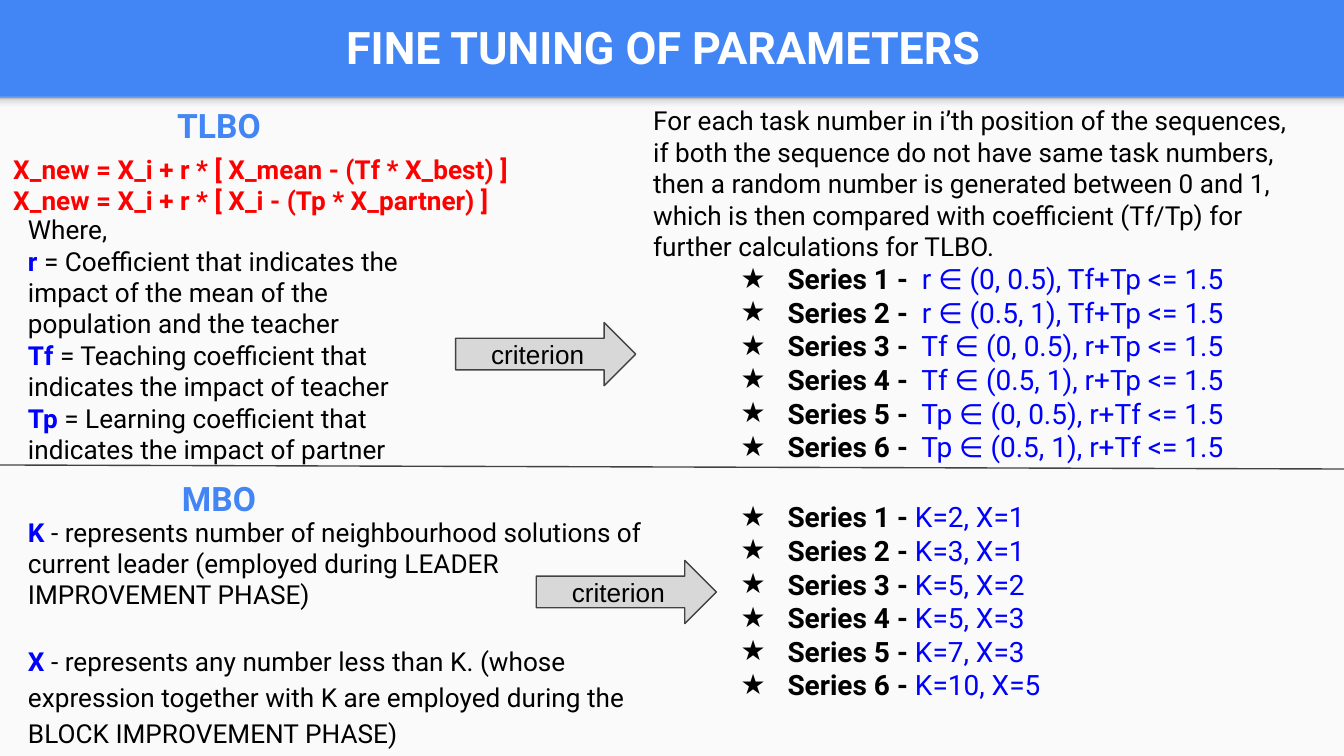
from dataclasses import dataclass

from lxml import etree
from pptx import Presentation
from pptx.dml.color import RGBColor
from pptx.enum.shapes import MSO_CONNECTOR, MSO_SHAPE
from pptx.enum.text import MSO_ANCHOR, MSO_AUTO_SIZE, PP_ALIGN
from pptx.oxml.ns import qn
from pptx.shapes.autoshape import Shape
from pptx.slide import Slide
from pptx.text.text import TextFrame
from pptx.util import Inches, Pt

LEFT, CENTER = PP_ALIGN.LEFT, PP_ALIGN.CENTER
TOP, MIDDLE = MSO_ANCHOR.TOP, MSO_ANCHOR.MIDDLE
RECT, ARROW = MSO_SHAPE.RECTANGLE, MSO_SHAPE.RIGHT_ARROW
STRAIGHT, NO_FIT = MSO_CONNECTOR.STRAIGHT, MSO_AUTO_SIZE.NONE
COLORS = {
    "blue": "4285F4", "paper": "FAFAFA", "white": "FFFFFF", "black": "000000",
    "key": "0000FF", "red": "FF0000", "gray": "D8D8D8", "edge": "424242",
}
SHADE = [(0, "F9F9F9"), (36, "F9F9F9"), (80, "DEDEDE"), (100, "999999")]


@dataclass
class Run:
    text: str
    color: str = "black"
    bold: bool = False


@dataclass
class Para:
    runs: list[Run]
    size: float = 14
    indent: float = 0
    star: bool = False
    before: float = 0
    after: float = 0
    line: float = 1.0


@dataclass
class Box:
    left: float
    top: float
    width: float
    height: float

    def place(self) -> tuple:
        return tuple(map(Inches, (self.left, self.top, self.width, self.height)))


def rgb(name: str) -> RGBColor:
    return RGBColor.from_string(COLORS[name])


def write(frame: TextFrame, paras: list[Para], *, font: str = "Roboto",
          align: PP_ALIGN = LEFT, anchor: MSO_ANCHOR = TOP) -> None:
    frame.word_wrap = True
    frame.auto_size = NO_FIT
    frame.vertical_anchor = anchor
    frame.margin_left = frame.margin_right = Inches(0.1)
    frame.margin_top = frame.margin_bottom = Inches(0.1)
    for i, item in enumerate(paras):
        para = frame.paragraphs[0] if i == 0 else frame.add_paragraph()
        props = para._p.get_or_add_pPr()
        props.set("marL", str(Inches(item.indent)))
        props.set("indent", str(Inches(-0.35 if item.star else 0)))
        if item.star:
            tint = etree.SubElement(props, qn("a:buClr"))
            etree.SubElement(tint, qn("a:srgbClr"), val=COLORS["black"])
            etree.SubElement(props, qn("a:buFont"), typeface=font)
            etree.SubElement(props, qn("a:buChar"), char="★")
        else:
            etree.SubElement(props, qn("a:buNone"))
        para.alignment = align
        para.line_spacing = item.line
        para.space_before, para.space_after = Pt(item.before), Pt(item.after)
        for part in item.runs:
            run = para.add_run()
            run.text = part.text
            run.font.name, run.font.size = font, Pt(item.size)
            run.font.bold = part.bold
            run.font.color.rgb = rgb(part.color)


def add_text(slide: Slide, box: Box, paras: list[Para],
             align: PP_ALIGN = LEFT) -> None:
    write(slide.shapes.add_textbox(*box.place()).text_frame, paras, align=align)


def fill_holder(holder: Shape, box: Box, paras: list[Para], **form) -> None:
    holder.left, holder.top, holder.width, holder.height = box.place()
    write(holder.text_frame, paras, **form)


def add_panel(slide: Slide, box: Box, layer: int) -> Shape:
    """Add a plain panel behind the placeholders."""
    panel = slide.shapes.add_shape(RECT, *box.place())
    panel.shadow.inherit = False
    panel.line.fill.background()
    slide.shapes._spTree.insert(2 + layer, panel._element)
    return panel


def add_arrow(slide: Slide, left: float, top: float) -> None:
    arrow = slide.shapes.add_shape(ARROW, *Box(left, top, 1.34, 0.47).place())
    arrow.shadow.inherit = False
    arrow.fill.solid()
    arrow.fill.fore_color.rgb = rgb("gray")
    arrow.line.color.rgb = rgb("edge")
    arrow.line.width = Pt(0.75)
    write(arrow.text_frame, [Para([Run("criterion")])],
          font="Arial", align=CENTER, anchor=MIDDLE)


def term(key: str, text: str, **form) -> Para:
    return Para([Run(key, "key", True), Run(text)], **form)


def series(rules: list[str]) -> list[Para]:
    return [Para([Run(f"Series {n} - ", bold=True), Run(rule, "key")],
                 size=15, indent=1.5, star=True)
            for n, rule in enumerate(rules, 1)]


def main() -> None:
    deck = Presentation()
    deck.slide_width = Inches(10)
    deck.slide_height = deck.slide_width * 9 // 16
    slide = deck.slides.add_slide(deck.slide_layouts[3])
    title, upper, lower = slide.placeholders

    # Blue header, pale page and the shade below the header
    slide.background.fill.solid()
    slide.background.fill.fore_color.rgb = rgb("blue")
    page = add_panel(slide, Box(0, 0.72, 10, 4.91), 0)
    page.fill.solid()
    page.fill.fore_color.rgb = rgb("paper")
    shade = add_panel(slide, Box(0, 0.72, 10, 0.12), 1)
    shade.fill.gradient()
    shade.fill.gradient_angle = 90
    stops = shade._element.spPr.find(qn("a:gradFill")).find(qn("a:gsLst"))
    for old in list(stops):
        stops.remove(old)
    for spot, tone in SHADE:
        stop = etree.SubElement(stops, qn("a:gs"), pos=str(spot * 1000))
        etree.SubElement(stop, qn("a:srgbClr"), val=tone)

    fill_holder(title, Box(0.11, 0.02, 9.65, 0.66),
                [Para([Run("FINE TUNING OF PARAMETERS", "white", True)], size=24)],
                align=CENTER, anchor=MIDDLE)

    # Section headings
    for name, top in (("TLBO", 0.68), ("MBO", 3.46)):
        add_text(slide, Box(0.05, top, 3.16, 0.5),
                 [Para([Run(name, "blue", True)], size=18)], align=CENTER)

    # TLBO formulas and terms
    add_text(slide, Box(0, 1.04, 3.99, 0.67), [
        Para([Run(f"X_new = X_i + r * [ {rest} ]", "red", True)])
        for rest in ("X_mean - (Tf * X_best)", "X_i - (Tp * X_partner)")])
    add_text(slide, Box(0.11, 1.49, 3.28, 2.09), [
        Para([Run("Where,")]),
        term("r", " = Coefficient that indicates the impact of the mean of the "
             "population and the teacher"),
        term("Tf", " = Teaching coefficient that indicates the impact of teacher"),
        term("Tp", " = Learning coefficient that indicates the impact of partner"),
    ])

    # TLBO series
    intro = Para([Run(
        "For each task number in i’th position of the sequences, if both the "
        "sequence do not have same task numbers, then a random number is "
        "generated between 0 and 1, which is then compared with coefficient "
        "(Tf/Tp) for further calculations for TLBO.")], indent=0.5)
    rules = [f" {one} ∈ {span}, {pair} <= 1.5"
             for one, pair in (("r", "Tf+Tp"), ("Tf", "r+Tp"), ("Tp", "r+Tf"))
             for span in ("(0, 0.5)", "(0.5, 1)")]
    fill_holder(upper, Box(4.26, 0.68, 5.5, 2.9), [intro] + series(rules))

    # MBO terms and series
    add_text(slide, Box(0.11, 3.74, 4.81, 1.92), [
        term("K ", "- represents number of neighbourhood solutions of current "
             "leader (employed during LEADER IMPROVEMENT PHASE)"),
        term("X ", "- represents any number less than K. (whose expression "
             "together with K are employed during the BLOCK IMPROVEMENT PHASE)",
             before=16.5, after=16, line=1.15),
    ])
    pairs = [(2, 1), (3, 1), (5, 2), (5, 3), (7, 3), (10, 5)]
    fill_holder(lower, Box(4.26, 3.62, 5.28, 2.11),
                series([f"K={k}, X={x}" for k, x in pairs]))

    # Arrows and the line between the sections
    add_arrow(slide, 3.39, 2.4)
    add_arrow(slide, 3.99, 4.17)
    rule = slide.shapes.add_connector(
        STRAIGHT, *map(Inches, (0, 3.46, 10.01, 3.49)))
    rule.line.color.rgb = rgb("edge")
    rule.line.width = Pt(0.75)
    etree.SubElement(rule._element.spPr, qn("a:effectLst"))

    deck.save("out.pptx")


if __name__ == "__main__":
    main()
